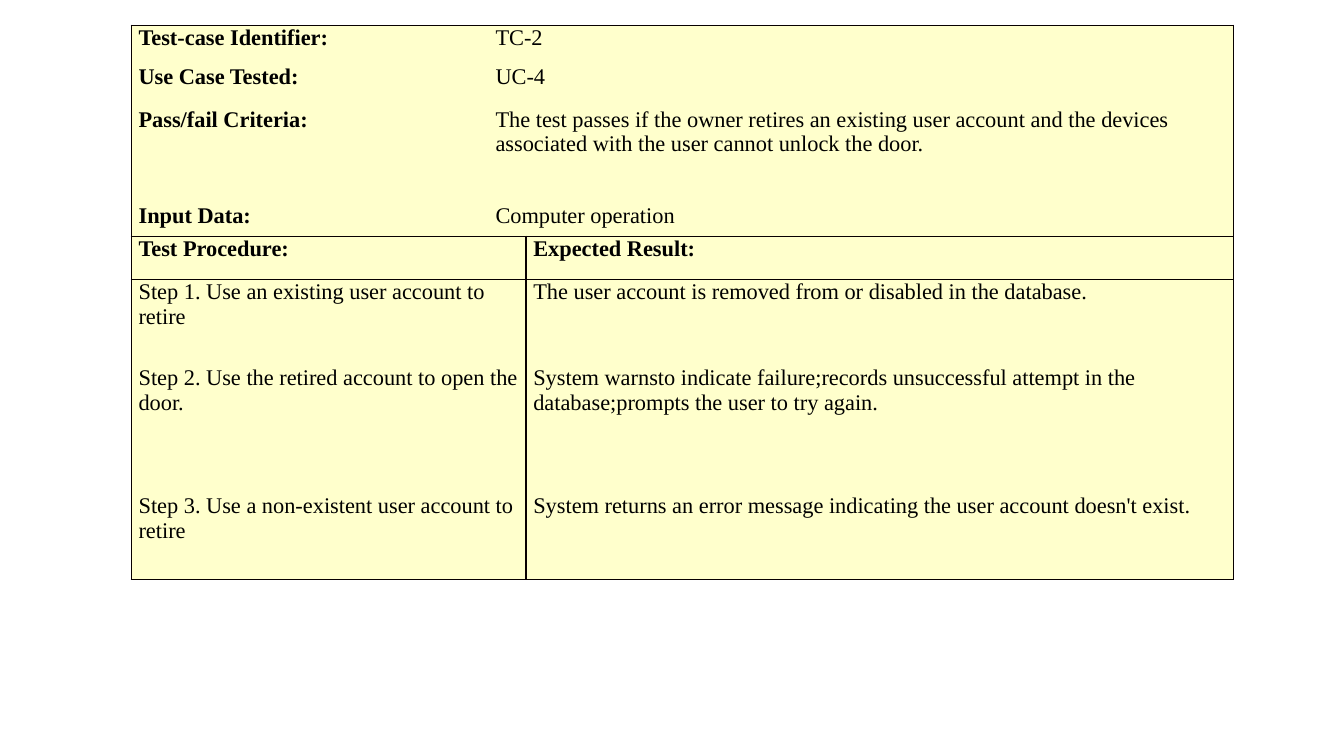
from lxml.etree import SubElement
from pptx import Presentation
from pptx.dml.color import RGBColor
from pptx.oxml.ns import qn
from pptx.util import Pt

PX = 9525
FONT = "Times New Roman"
COLORS = {"fill": "FFFFCC", "border": "080000", "text": "000000"}
COLUMN_WIDTHS = [340, 36, 674]
ROW_HEIGHTS = [37, 41, 92, 31, 41, 82, 122, 82]
DETAILS = [
    ("Test-case Identifier:", "TC-2"),
    ("Use Case Tested:", "UC-4"),
    ("Pass/fail Criteria:", "The test passes if the owner retires an existing user account "
     "and the devices associated with the user cannot unlock the door."),
    ("Input Data:", "Computer operation"),
]
PROCEDURE = [
    ("Test Procedure:", "Expected Result:"),
    ("Step 1. Use an existing user account to retire",
     "The user account is removed from or disabled in the database."),
    ("Step 2. Use the retired account to open the door.",
     "System warnsto indicate failure;records unsuccessful attempt in the database;"
     "prompts the user to try again."),
    ("Step 3. Use a non-existent user account to retire",
     "System returns an error message indicating the user account doesn't exist."),
]


def write_text(cell, text, size=16, bold=False, color="text"):
    """Put formatted text into a cell."""
    run = cell.text_frame.paragraphs[0].add_run()
    run.text = text
    run.font.name = FONT
    run.font.size = Pt(size)
    run.font.bold = bold
    run.font.color.rgb = RGBColor.from_string(COLORS[color])


def format_cell(cell, sides):
    """Draw the named sides (L, R, T, B) of a cell, then set its fill and margins."""
    properties = cell._tc.get_or_add_tcPr()
    for side in "LRTB":
        line = SubElement(properties, qn(f"a:ln{side}"), w=str(Pt(1)))
        if side in sides:
            solid = SubElement(line, qn("a:solidFill"))
            SubElement(solid, qn("a:srgbClr"), val=COLORS["border"])
        else:
            SubElement(line, qn("a:noFill"))
    cell.fill.solid()
    cell.fill.fore_color.rgb = RGBColor.from_string(COLORS["fill"])
    cell.margin_left = cell.margin_right = 7 * PX
    cell.margin_top = cell.margin_bottom = 0


def fill_details(table, first_row):
    """Fill the unruled upper part, whose values span the last two columns."""
    last = len(DETAILS) - 1
    for index, (label, value) in enumerate(DETAILS):
        cells = [table.cell(first_row + index, column) for column in range(3)]
        cells[1].merge(cells[2])
        edges = ("T" if index == 0 else "") + ("B" if index == last else "")
        for cell, sides in zip(cells, ("L", "R", "R")):
            format_cell(cell, sides + edges)
        write_text(cells[0], label, bold=True)
        write_text(cells[1], value)


def fill_procedure(table, first_row):
    """Fill the lower part, whose steps span the first two columns."""
    last = len(PROCEDURE) - 1
    for index, (step, result) in enumerate(PROCEDURE):
        cells = [table.cell(first_row + index, column) for column in range(3)]
        cells[0].merge(cells[1])
        edges = ("T" if index <= 1 else "") + ("B" if index in (0, last) else "")
        for cell, sides in zip(cells, ("LR", "R", "LR")):
            format_cell(cell, sides + edges)
        write_text(cells[0], step, bold=index == 0)
        write_text(cells[2], result, bold=index == 0)


def add_test_case(slide, left, top):
    """Add the test-case table with its top left corner at the given place."""
    table = slide.shapes.add_table(
        len(ROW_HEIGHTS), len(COLUMN_WIDTHS), left * PX, top * PX,
        sum(COLUMN_WIDTHS) * PX, sum(ROW_HEIGHTS) * PX).table
    table.first_row = table.horz_banding = False
    for column, width in zip(table.columns, COLUMN_WIDTHS):
        column.width = width * PX
    for row, height in zip(table.rows, ROW_HEIGHTS):
        row.height = height * PX
    fill_details(table, 0)
    fill_procedure(table, len(DETAILS))


def main():
    """Build the slide and save it."""
    presentation = Presentation()
    presentation.slide_width = 1280 * PX
    presentation.slide_height = 720 * PX
    slide = presentation.slides.add_slide(presentation.slide_layouts[6])
    add_test_case(slide, 125, 24)
    presentation.save("out.pptx")


if __name__ == "__main__":
    main()
